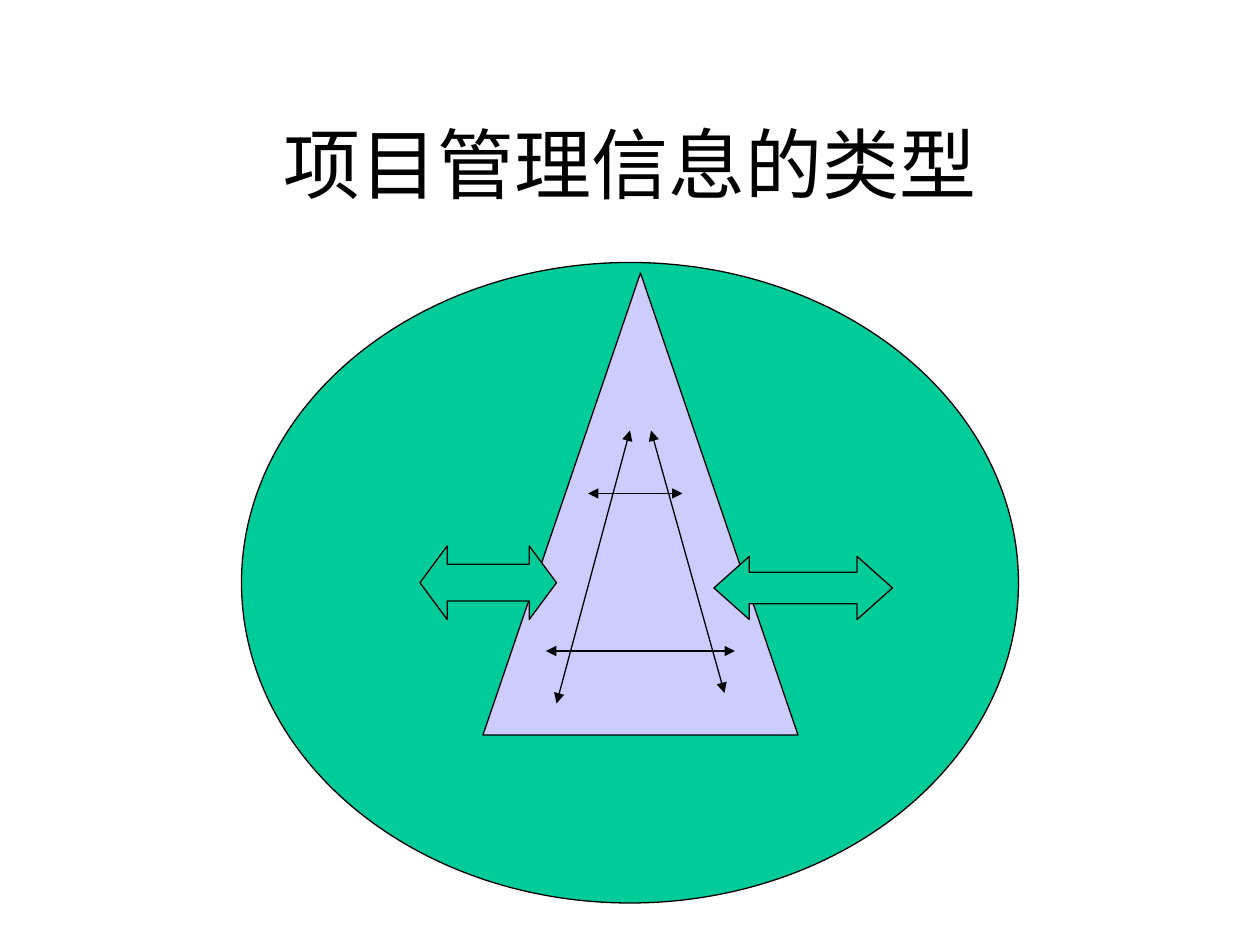
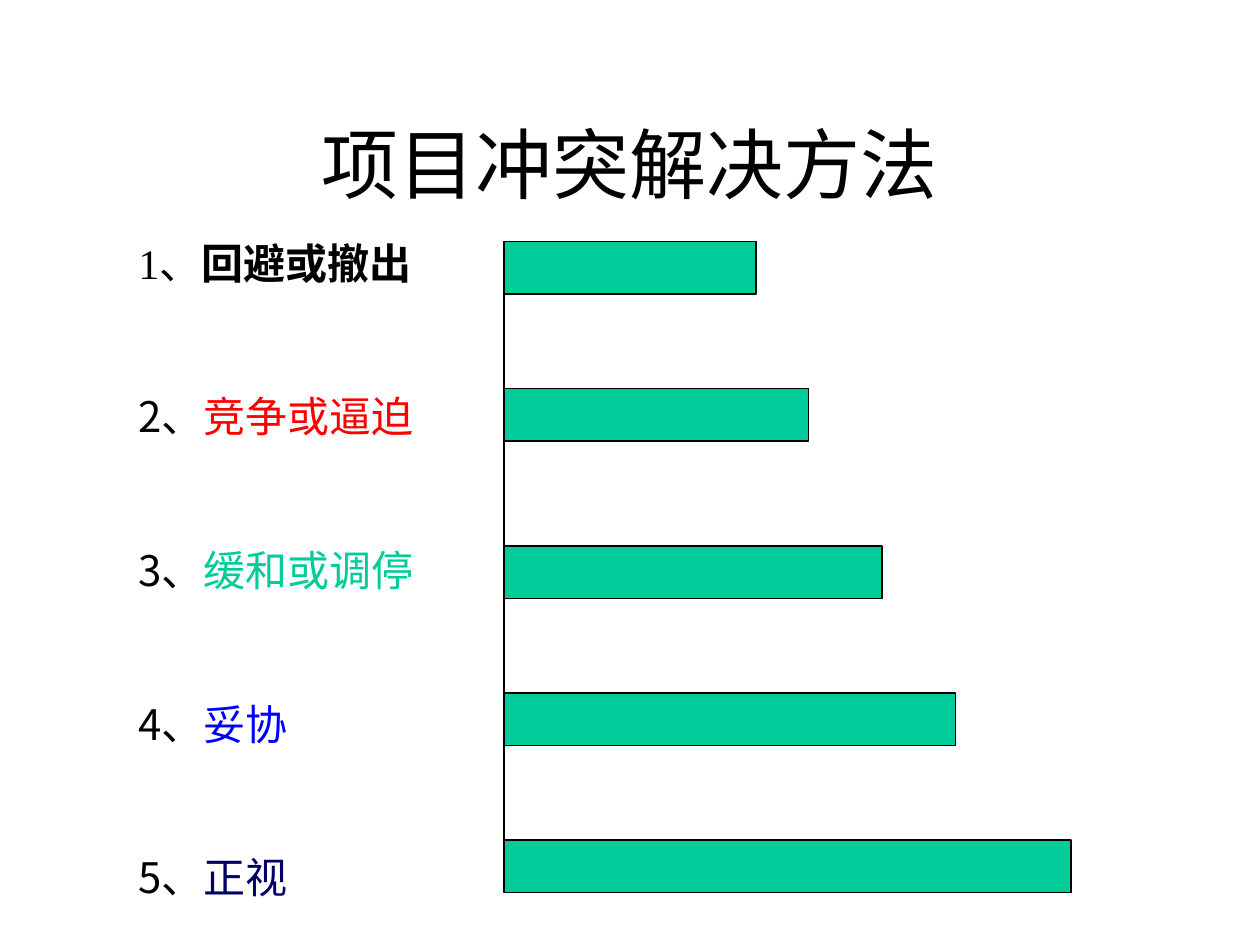
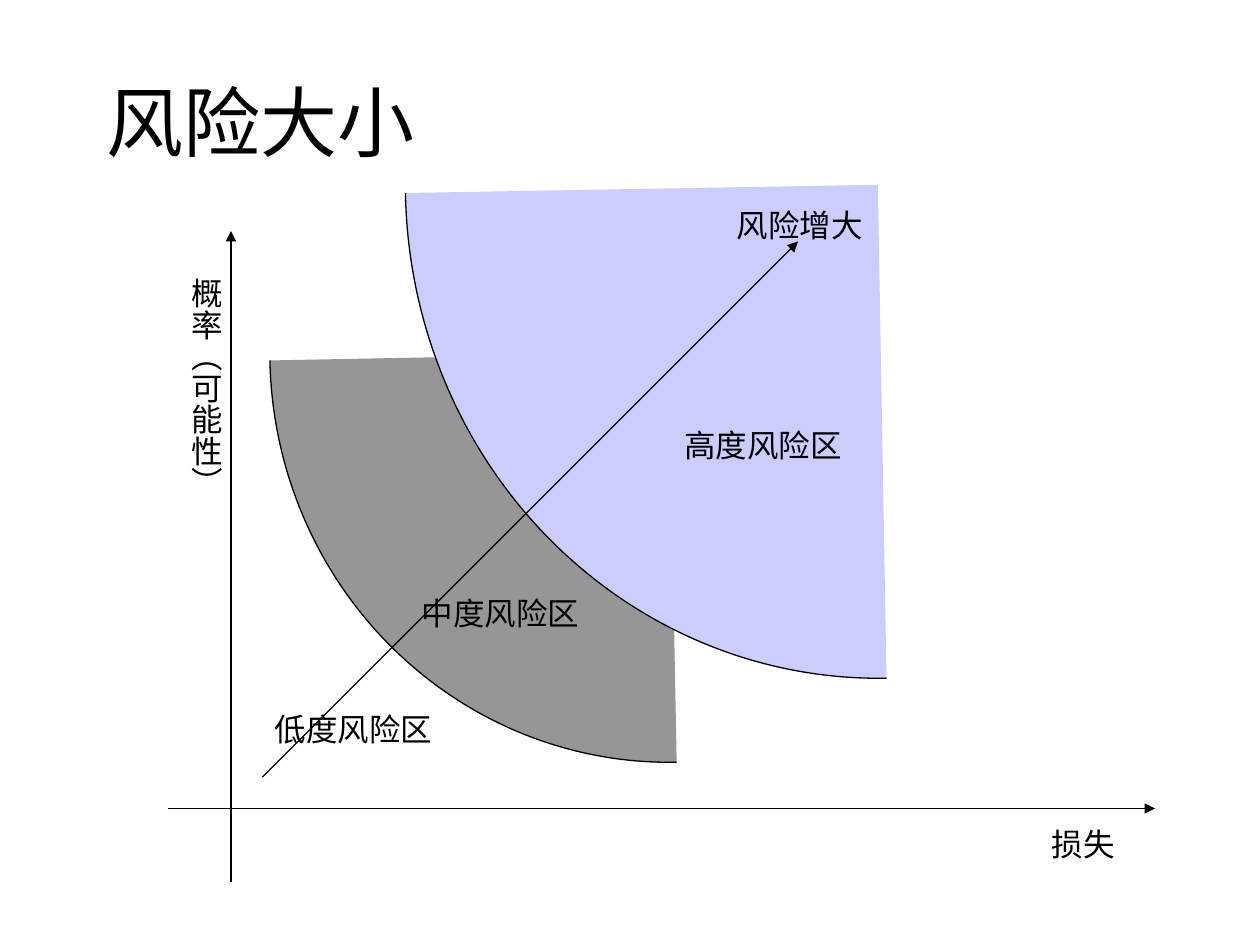
from dataclasses import dataclass

from lxml.etree import SubElement
from pptx import Presentation
from pptx.dml.color import RGBColor
from pptx.enum.shapes import MSO_CONNECTOR as CONN, MSO_SHAPE as SHAPE
from pptx.enum.text import MSO_ANCHOR as ANCHOR, PP_ALIGN as ALIGN
from pptx.oxml.ns import qn
from pptx.util import Emu, Inches, Pt


@dataclass(frozen=True)
class Theme:
    """Colours, fonts and sizes shared by the slides."""
    ink: str = "000000"
    green: str = "00CC99"
    lilac: str = "CCCCFF"
    grey: str = "969696"
    red: str = "FF0000"
    blue: str = "0000FF"
    navy: str = "000066"
    serif: str = "Times New Roman"
    sans: str = "Noto Sans CJK SC"
    title: int = 44
    body: int = 24
    label: int = 18
    stroke: float = 0.75


T = Theme()
WIDTH, HEIGHT = Inches(10), Inches(7.5)
CELL = WIDTH / 120


def grid(*cells):
    """Turn counts of grid cells, 120 across and 90 down, into lengths."""
    return [Emu(round(n * CELL)) for n in cells]


def format_run(r, size, color=T.ink, font=T.serif, bold=False):
    """Give a run its Latin and East Asian fonts, size and colour."""
    r.font.name, r.font.size, r.font.bold = font, Pt(size), bold
    r.font.color.rgb = RGBColor.from_string(color)
    SubElement(r.font._element, qn("a:ea"), typeface=T.sans)


def add_box(slide, box):
    """Add an empty wrapping text box and return its text frame."""
    tf = slide.shapes.add_textbox(*grid(*box)).text_frame
    tf.word_wrap = True
    return tf


def add_text(slide, box, text, size=T.label):
    """Add one line of text and return its text frame."""
    tf = add_box(slide, box)
    tf.text = text
    format_run(tf.paragraphs[0].runs[0], size)
    return tf


def add_title(slide, text, row=8, align=ALIGN.CENTER):
    """Add the slide title."""
    tf = add_text(slide, (9, row, 102, 15), text, T.title)
    tf.vertical_anchor = ANCHOR.MIDDLE
    tf.paragraphs[0].alignment = align


def outline(line):
    """Apply the common thin outline."""
    line.color.rgb = RGBColor.from_string(T.ink)
    line.width = Pt(T.stroke)


def add_figure(slide, kind, box, color=T.green, adjustments=(), rotation=0):
    """Add a filled and outlined preset shape."""
    sp = slide.shapes.add_shape(kind, *grid(*box))
    sp.shadow.inherit = False
    sp.rotation = rotation
    sp.fill.solid()
    sp.fill.fore_color.rgb = RGBColor.from_string(color)
    outline(sp.line)
    for i, value in enumerate(adjustments):
        sp.adjustments[i] = value


def add_line(slide, ends, head=False, tail=False):
    """Add a straight line with optional arrowheads."""
    cx = slide.shapes.add_connector(CONN.STRAIGHT, *grid(*ends))
    outline(cx.line)
    ln = cx.line._get_or_add_ln()
    for tag, shown in (("a:headEnd", head), ("a:tailEnd", tail)):
        if shown:
            SubElement(ln, qn(tag), type="triangle")
    SubElement(cx._element.spPr, qn("a:effectLst"))


def information_slide(slide):
    """Show the kinds of project information."""
    add_title(slide, "项目管理信息的类型")
    add_figure(slide, SHAPE.OVAL, (23, 25, 74, 61))
    add_figure(slide, SHAPE.ISOSCELES_TRIANGLE, (46, 26, 30, 44), T.lilac)
    for ends in ((56, 47, 65, 47), (52, 62, 70, 62),
                 (60, 41, 53, 67), (62, 41, 69, 66)):
        add_line(slide, ends, head=True, tail=True)
    for box, head in (((40, 52, 13, 7), 0.37), ((68, 53, 17, 6), 0.56)):
        add_figure(slide, SHAPE.LEFT_RIGHT_ARROW, box, T.green, (0.5, head))


def conflict_slide(slide):
    """Rank the ways to resolve conflict with bars."""
    add_title(slide, "项目冲突解决方法")
    methods = (("回避或撤出", T.ink, 23, 24), ("竞争或逼迫", T.red, 37, 29),
               ("缓和或调停", T.green, 52, 36), ("妥协", T.blue, 66, 43),
               ("正视", T.navy, 80, 54))
    tf = add_box(slide, (12, 22, 31, 64.5))
    add_line(slide, (48, 23, 48, 83))
    for i, (name, color, row, length) in enumerate(methods):
        first = i == 0
        p = tf.paragraphs[0] if first else tf.add_paragraph()
        if not first:
            p.space_before = Pt(59)
        number, method = p.add_run(), p.add_run()
        number.text, method.text = f"{i + 1}、", name
        format_run(number, T.body, font=T.serif if first else T.sans)
        format_run(method, T.body, color, T.sans, first)
        add_figure(slide, SHAPE.RECTANGLE, (48, row, length, 5))


def risk_slide(slide):
    """Map risk zones by probability and loss."""
    add_title(slide, "风险大小", 4, ALIGN.LEFT)
    for axis in ((16, 77, 110, 77), (22, 84, 22, 22)):
        add_line(slide, axis, tail=True)
    add_text(slide, (99, 78, 15, 4.8), "损失")
    tf = add_text(slide, (16, 23, 6, 28), "概率（可能性）")
    tf._txBody.bodyPr.set("vert", "eaVert")
    tf.margin_left = tf.margin_right = Inches(0.05)
    tf.margin_top, tf.margin_bottom = Inches(0.29), Inches(0.1)
    for box, color, turn in (((25.7, -5.4, 76, 78), T.grey, 178.9),
                             ((38.6, -29.4, 90, 94), T.lilac, 179)):
        add_figure(slide, SHAPE.ARC, box, color, rotation=turn)
    add_line(slide, (25, 74, 76, 23), tail=True)
    for text, col, row, width in (("风险增大", 69, 19, 21), ("高度风险区", 64, 40, 19),
                                  ("中度风险区", 39, 56, 19), ("低度风险区", 25, 67, 19)):
        add_text(slide, (col, row, width, 4.8), text)


def main():
    """Build and save the slides."""
    prs = Presentation()
    prs.slide_width, prs.slide_height = WIDTH, HEIGHT
    for build in (information_slide, conflict_slide, risk_slide):
        build(prs.slides.add_slide(prs.slide_layouts[6]))
    prs.save("out.pptx")


if __name__ == "__main__":
    main()
